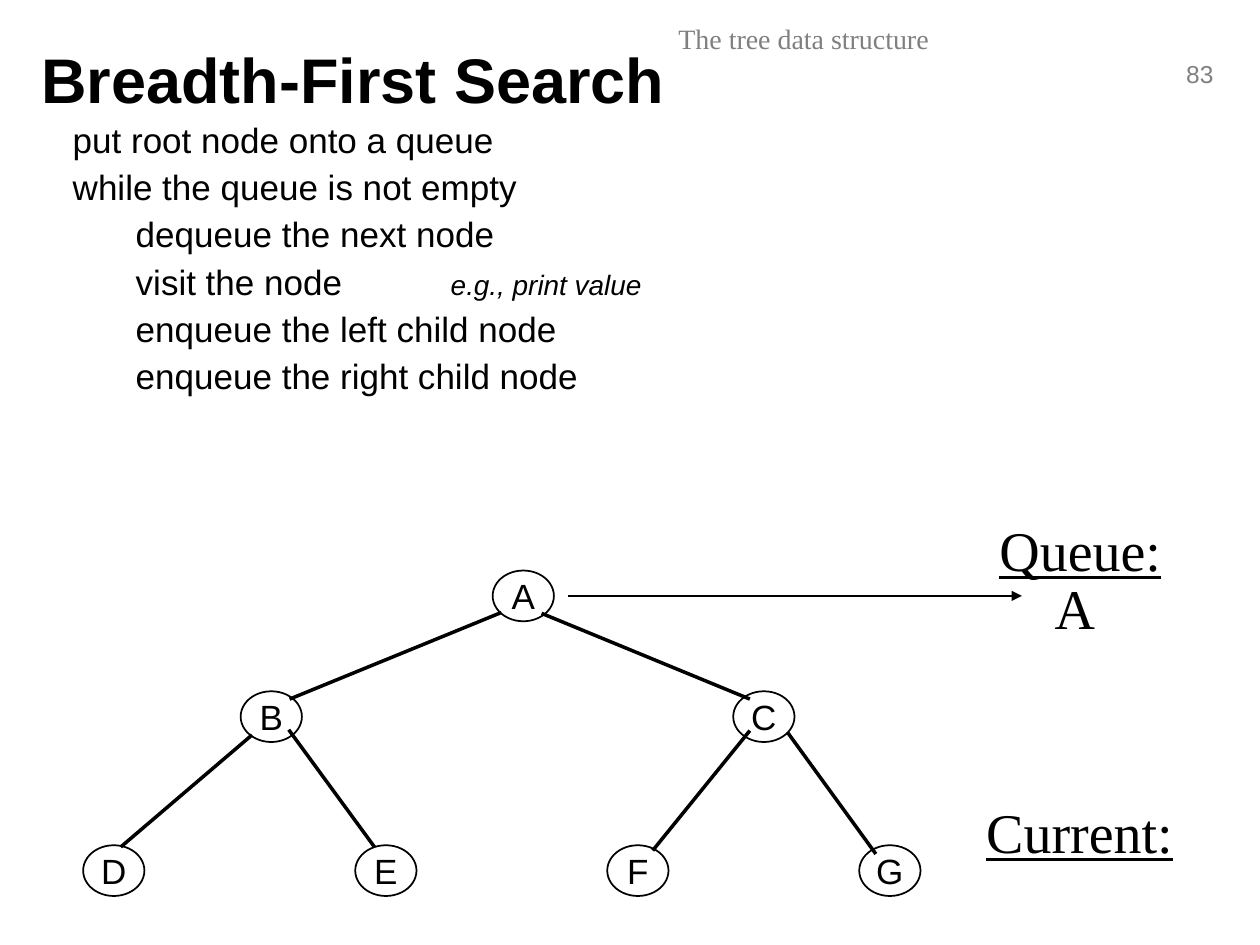
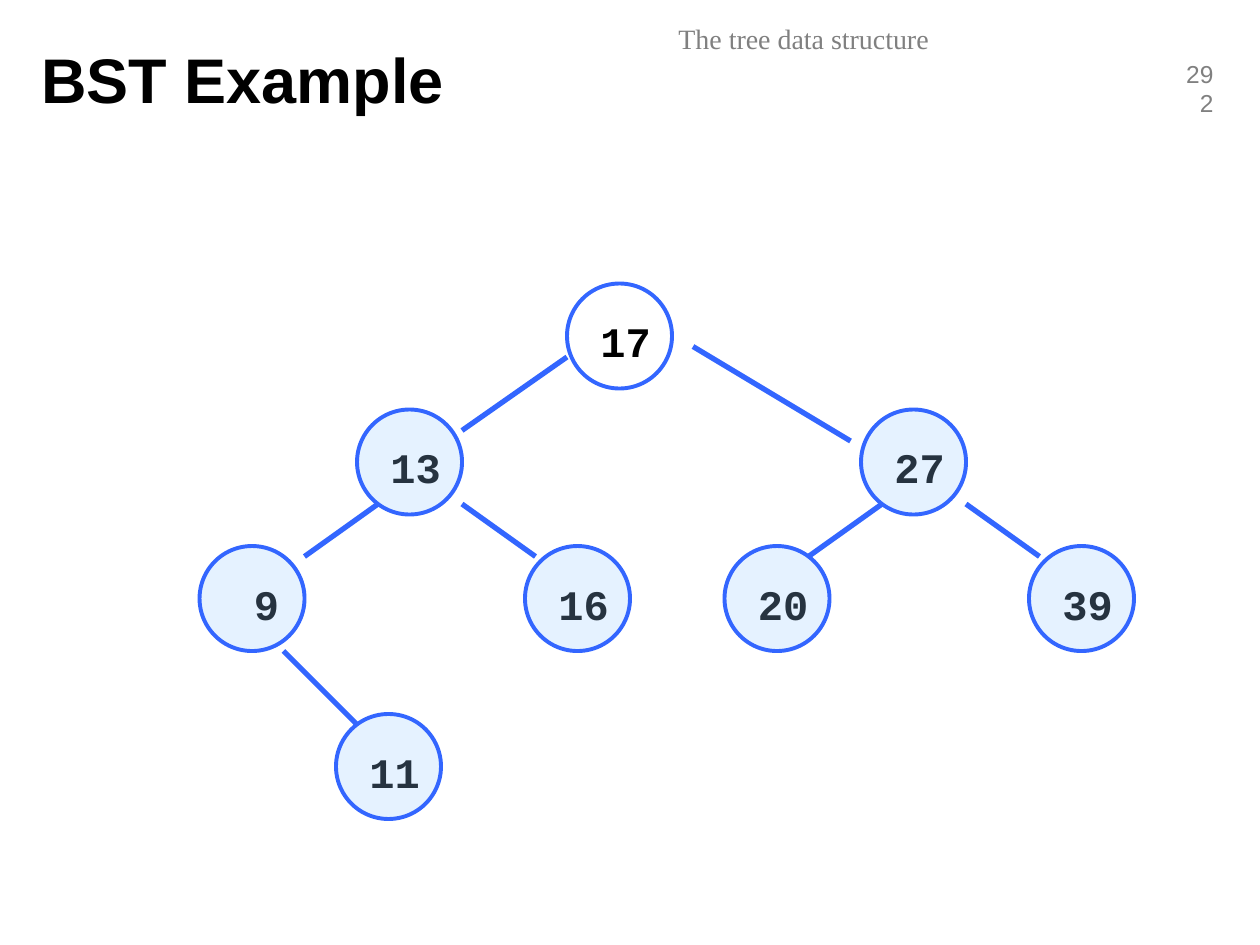
import pptx
import pptx.util
import pptx.dml.color
import pptx.enum.shapes
import pptx.enum.text
import pptx.oxml.ns
import pptx.oxml.xmlchemy

Pt = pptx.util.Pt
colour = pptx.dml.color.RGBColor.from_string
new_element = pptx.oxml.xmlchemy.OxmlElement
ALIGN = pptx.enum.text.PP_ALIGN
OVAL = pptx.enum.shapes.MSO_SHAPE.OVAL
BLACK, WHITE, GREY = "000000", "FFFFFF", "808080"
BLUE, PALE_BLUE = "3366FF", "99CCFF"


def add_text(slide, box, text, font, size, color=BLACK, align=ALIGN.LEFT, wrap=True):
    """Add a one-paragraph text box and return its run."""
    shape = slide.shapes.add_textbox(*[Pt(value) for value in box])
    shape.text_frame.word_wrap = wrap
    paragraph = shape.text_frame.paragraphs[0]
    paragraph.alignment = align
    run = paragraph.add_run()
    run.text = text
    run.font.name, run.font.size = font, Pt(size)
    run.font.color.rgb = colour(color)
    return run


def add_line(slide, ends, color, width):
    """Add a straight line without a shadow."""
    line = slide.shapes.add_connector(
        pptx.enum.shapes.MSO_CONNECTOR.STRAIGHT, *[Pt(value) for value in ends])
    line.line.color.rgb = colour(color)
    line.line.width = Pt(width)
    line._element.spPr.append(new_element("a:effectLst"))
    return line


presentation = pptx.Presentation()
presentation.slide_width, presentation.slide_height = Pt(720), Pt(540)

# Title, running header and page number of every slide
slides = []
for title, number in [("Breadth-First Search", "83"), ("BST Example", "292")]:
    slide = presentation.slides.add_slide(presentation.slide_layouts[5])
    slides.append(slide)
    add_text(slide, (669, 30, 31.5, 24), number, "Arial", 14, GREY, ALIGN.RIGHT)
    add_text(slide, (229.5, 8.5, 459.5, 29), "The tree data structure",
             "Times New Roman", 16, GREY, ALIGN.CENTER)
    shape = slide.shapes.title
    shape.left, shape.top, shape.width, shape.height = Pt(16.5), Pt(11), Pt(578), Pt(67)
    shape.text_frame.vertical_anchor = pptx.enum.text.MSO_ANCHOR.MIDDLE
    shape.text_frame.auto_size = pptx.enum.text.MSO_AUTO_SIZE.NONE
    paragraph = shape.text_frame.paragraphs[0]
    paragraph.alignment = ALIGN.LEFT
    run = paragraph.add_run()
    run.text = title
    run.font.name, run.font.size, run.font.bold = "Arial", Pt(36), True
    run.font.color.rgb = colour(BLACK)
search_slide, bst_slide = slides

# Breadth-first search: tree nodes
NODE_WIDTH, NODE_HEIGHT = 35, 29
tree_levels = [
    (326, [("A", 281.5)]),
    (395, [("B", 137.5), ("C", 419)]),
    (483, [("D", 47.5), ("E", 203), ("F", 347), ("G", 491)]),
]
for top, nodes in tree_levels:
    for label, left in nodes:
        shape = search_slide.shapes.add_shape(
            OVAL, Pt(left), Pt(top), Pt(NODE_WIDTH), Pt(NODE_HEIGHT))
        shape.shadow.inherit = False
        shape.fill.solid()
        shape.fill.fore_color.rgb = colour(WHITE)
        shape.line.color.rgb = colour(BLACK)
        shape.line.width = Pt(1)
        frame = shape.text_frame
        frame.margin_left = frame.margin_right = frame.margin_top = frame.margin_bottom = 0
        frame.word_wrap = False
        frame.vertical_anchor = pptx.enum.text.MSO_ANCHOR.MIDDLE
        paragraph = frame.paragraphs[0]
        paragraph.alignment = ALIGN.CENTER
        run = paragraph.add_run()
        run.text = label
        run.font.name, run.font.size = "Arial", Pt(20)
        run.font.color.rgb = colour(BLACK)

# Breadth-first search: tree edges
for ends in [(286.5, 350, 165.5, 399.5), (309.5, 350.5, 428.5, 399.5),
             (144, 420, 69, 484), (428.5, 417.5, 373, 486),
             (450, 418.5, 500.5, 488), (165, 417, 214, 484)]:
    add_line(search_slide, ends, BLACK, 2)

# Breadth-first search: queue and current node
for label, box, underlined in [("Queue:", (564, 291, 108, 46), True),
                               ("Current:", (556.5, 452, 121.5, 46), True),
                               ("A", (595.5, 324, 38, 46), False)]:
    run = add_text(search_slide, box, label, "Times New Roman", 32, wrap=False)
    run.font.underline = underlined
arrow = add_line(search_slide, (324.5, 340.5, 584, 340.5), BLACK, 1)
arrow_head = new_element("a:tailEnd")
arrow_head.set("type", "triangle")
arrow._element.spPr.find(pptx.oxml.ns.qn("a:ln")).append(arrow_head)

# Breadth-first search: pseudocode, each step with its indent level
steps = [
    (1, "put root node onto a queue", ""),
    (1, "while the queue is not empty", ""),
    (2, "dequeue the next node", ""),
    (2, "visit the node\t\t", "e.g., print value"),
    (2, "enqueue the left child node", ""),
    (2, "enqueue the right child node", ""),
]
shape = search_slide.shapes.add_textbox(Pt(-1.5), Pt(64), Pt(416), Pt(163))
shape.text_frame.word_wrap = True
for index, (level, step, remark) in enumerate(steps):
    if index == 0:
        paragraph = shape.text_frame.paragraphs[0]
    else:
        paragraph = shape.text_frame.add_paragraph()
        paragraph.space_before = Pt(3)
    properties = paragraph._p.get_or_add_pPr()
    properties.set("marL", str(Pt(36 * level)))
    properties.set("indent", "0")
    for text, size, italic in [(step, 20, False), (remark, 16, True)]:
        if text:
            run = paragraph.add_run()
            run.text = text
            run.font.name, run.font.size, run.font.italic = "Arial", Pt(size), italic
            run.font.color.rgb = colour(BLACK)

# Binary search tree: values lie beneath the translucent circles
DIAMETER = 60
tree_nodes = [("17", 324, 162), ("13", 204, 234), ("27", 492, 234), ("9", 114, 312),
              ("16", 300, 312), ("20", 414, 312), ("39", 588, 312), ("11", 192, 408)]
for value, left, top in tree_nodes:
    inset = 12 if len(value) == 2 else 24
    run = add_text(bst_slide, (left + inset, top + 15, 54, 36), value, "Courier New", 24)
    run.font.bold = True

# Binary search tree: edges
for ends in [(324, 204, 264, 246), (396, 198, 486, 252),
             (216, 288, 174, 318), (264, 288, 306, 318),
             (504, 288, 462, 318), (552, 288, 594, 318), (162, 372, 204, 414)]:
    add_line(bst_slide, ends, BLUE, 3)

# Binary search tree: circles, the root without a fill
for value, left, top in tree_nodes:
    shape = bst_slide.shapes.add_shape(OVAL, Pt(left), Pt(top), Pt(DIAMETER), Pt(DIAMETER))
    shape.shadow.inherit = False
    shape.line.color.rgb = colour(BLUE)
    shape.line.width = Pt(2.25)
    if value == "17":
        shape.fill.background()
    else:
        shape.fill.solid()
        shape.fill.fore_color.rgb = colour(PALE_BLUE)
        alpha = new_element("a:alpha")
        alpha.set("val", "25000")
        fill = shape._element.spPr.find(pptx.oxml.ns.qn("a:solidFill"))
        fill[0].append(alpha)

presentation.save("out.pptx")
